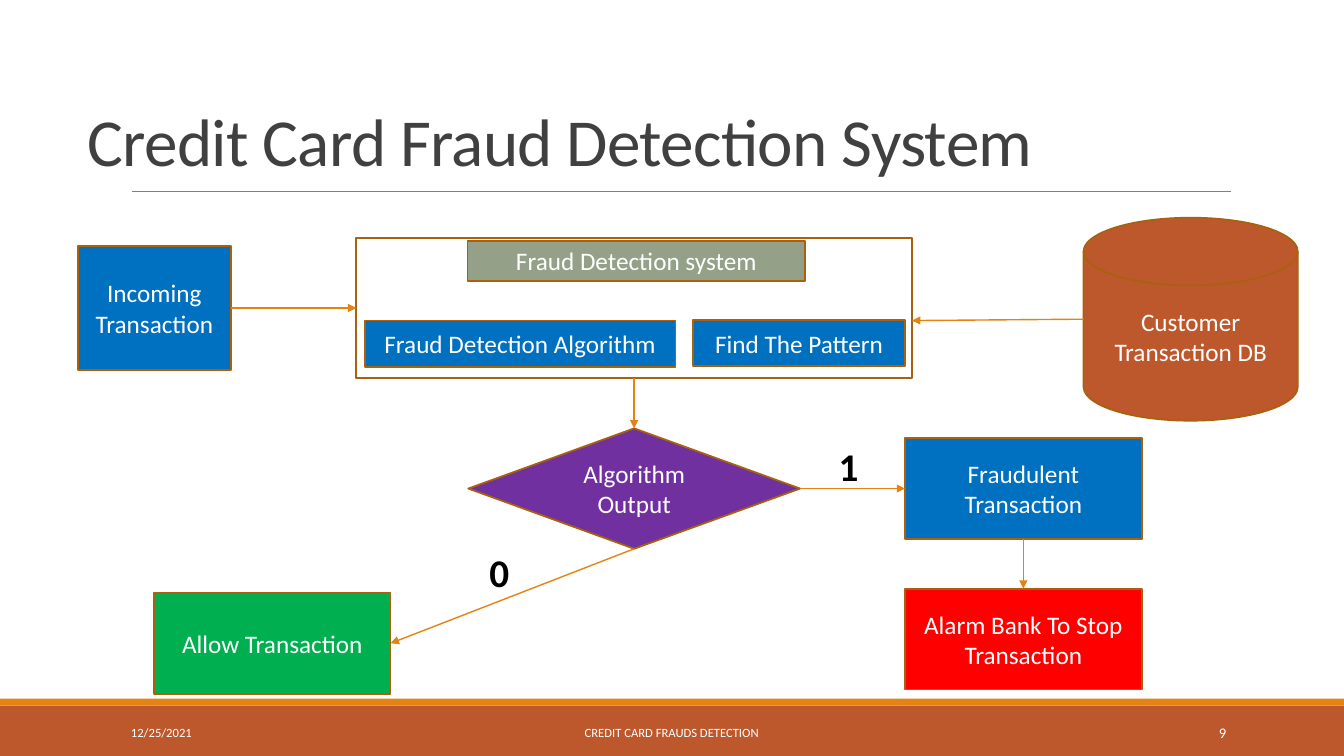
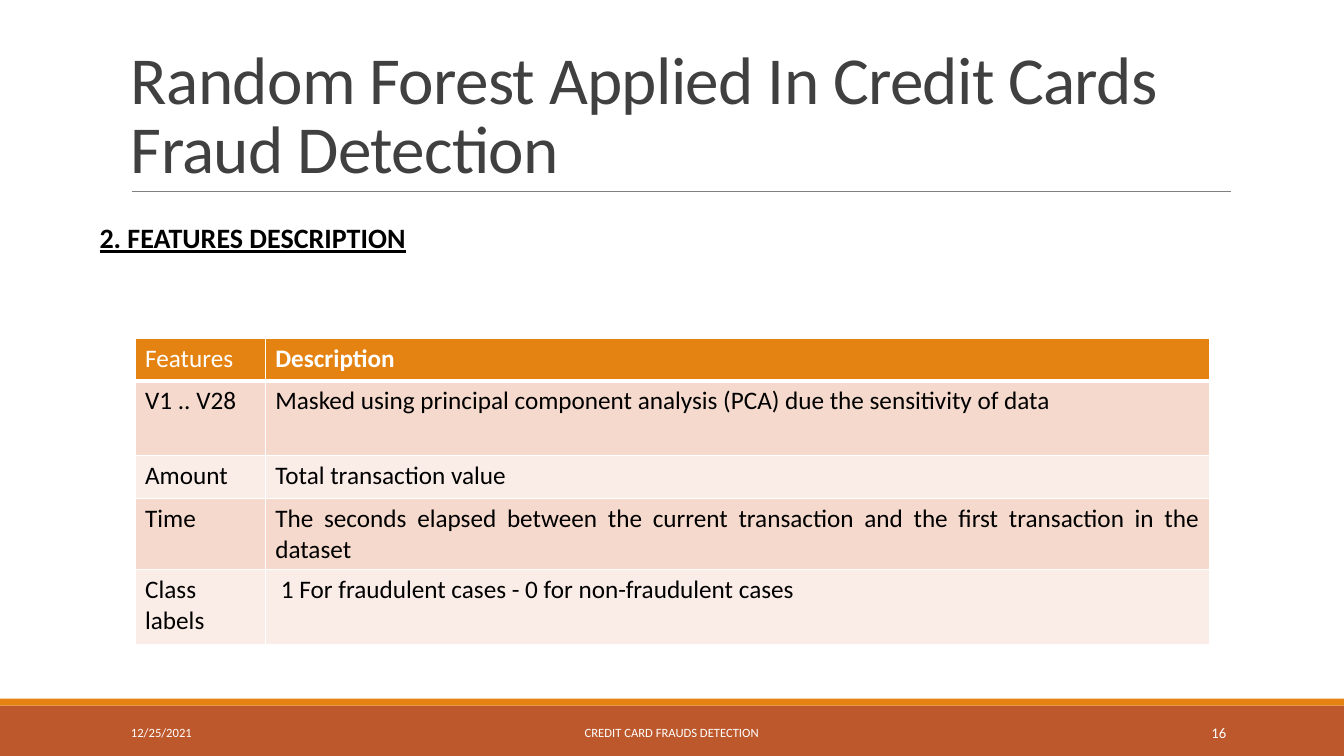
from dataclasses import dataclass

from lxml import etree
from pptx import Presentation
from pptx.dml.color import RGBColor
from pptx.enum.shapes import MSO_CONNECTOR, MSO_SHAPE
from pptx.enum.text import MSO_ANCHOR, PP_ALIGN
from pptx.oxml.ns import qn
from pptx.util import Pt

RECTANGLE = MSO_SHAPE.RECTANGLE
PROCESS = MSO_SHAPE.FLOWCHART_PROCESS
DECISION = MSO_SHAPE.FLOWCHART_DECISION
DISK = MSO_SHAPE.FLOWCHART_MAGNETIC_DISK
STRAIGHT = MSO_CONNECTOR.STRAIGHT
LEFT, CENTER, RIGHT, JUSTIFY = (
    PP_ALIGN.LEFT, PP_ALIGN.CENTER, PP_ALIGN.RIGHT, PP_ALIGN.JUSTIFY)
TOP, MIDDLE, BOTTOM = MSO_ANCHOR.TOP, MSO_ANCHOR.MIDDLE, MSO_ANCHOR.BOTTOM
SIDE_TOP, SIDE_LEFT, SIDE_BOTTOM, SIDE_RIGHT = range(4)

FONT = "Calibri"
WHITE, BLACK = "FFFFFF", "000000"
RUST, ORANGE, OUTLINE = "BD582C", "E48312", "A9610D"
BLUE, GREEN, RED, PURPLE, SAGE = "0070C0", "00B050", "FF0000", "7030A0", "94A088"
RULE_GRAY, TITLE_GRAY = "808080", "404040"
ROW_TINTS = ("F5D9CC", "FAEDE7")

TITLE = {"size": Pt(48)}
BODY = {"size": Pt(18)}
FOOTER = {"size": Pt(9)}
PAGE_NUMBER = {"size": Pt(10.5)}
BRANCH_LABEL = {"size": Pt(28), "bold": True}
HEADING = {"size": Pt(20), "bold": True, "underline": True}

Box = tuple[float, float, float, float]
Point = tuple[float, float]


@dataclass(frozen=True)
class Node:
    name: str
    box: Box
    fill: str
    text: str = ""
    kind: int = PROCESS


@dataclass(frozen=True)
class Link:
    """A joined arrow: each end is a node name and a side."""
    start: str
    start_side: int
    end: str
    end_side: int


@dataclass(frozen=True)
class Feature:
    name: str
    description: str
    height: float
    indent: float = 0


NODES = (
    Node("database", (774, 155.5, 153, 145), RUST, "Customer Transaction DB", DISK),
    Node("incoming", (55.5, 175.5, 109.5, 89), BLUE, "Incoming Transaction", RECTANGLE),
    Node("system", (254.5, 170, 397, 100), WHITE, kind=RECTANGLE),
    Node("system name", (334, 172, 241, 28.5), SAGE, "Fraud Detection system"),
    Node("algorithm", (260.5, 229, 222, 33), BLUE, "Fraud Detection Algorithm"),
    Node("pattern", (495, 228.5, 151.5, 33), BLUE, "Find The Pattern"),
    Node("fraudulent", (646.5, 313, 169, 72), BLUE, "Fraudulent Transaction"),
    Node("alarm", (646.5, 420.5, 169, 72), RED, "Alarm Bank To Stop Transaction"),
    Node("allow", (110, 423.5, 169, 72), GREEN, "Allow Transaction"),
    Node("output", (334.5, 306, 237, 86), PURPLE, "Algorithm Output", DECISION),
)
LINKS = (
    Link("incoming", SIDE_RIGHT, "system", SIDE_LEFT),
    Link("system", SIDE_BOTTOM, "output", SIDE_TOP),
    Link("output", SIDE_RIGHT, "fraudulent", SIDE_LEFT),
    Link("output", SIDE_BOTTOM, "allow", SIDE_RIGHT),
    Link("fraudulent", SIDE_BOTTOM, "alarm", SIDE_TOP),
)
FEATURES = (
    Feature("Features", "Description", 30),
    Feature("V1 .. V28", "Masked using principal component analysis (PCA) "
            "due the sensitivity of data", 53.5),
    Feature("Amount", "Total transaction value", 30.5),
    Feature("Time", "The seconds elapsed between the current transaction and "
            "the first transaction in the dataset", 51),
    Feature("Class labels", "1 For fraudulent cases - 0 for non-fraudulent cases",
            53.5, indent=4),
)


def rgb(color: str) -> RGBColor:
    return RGBColor.from_string(color)


def points(values) -> list:
    return [Pt(value) for value in values]


def write(frame, text: str, style: dict, color: str, align=LEFT):
    """Fill a text frame with one paragraph and return it."""
    paragraph = frame.paragraphs[0]
    paragraph.alignment = align
    run = paragraph.add_run()
    run.text = text
    for name, value in {"name": FONT, **style}.items():
        setattr(run.font, name, value)
    run.font.color.rgb = rgb(color)
    return paragraph


def add_text(slide, box: Box, text: str, style: dict, color: str,
             align=LEFT, anchor=TOP, wrap: bool = True):
    frame = slide.shapes.add_textbox(*points(box)).text_frame
    frame.word_wrap = wrap
    frame.vertical_anchor = anchor
    return write(frame, text, style, color, align)


def add_block(slide, kind: int, box: Box, fill: str, outline: str | None = None):
    shape = slide.shapes.add_shape(kind, *points(box))
    shape.shadow.inherit = False
    shape.fill.solid()
    shape.fill.fore_color.rgb = rgb(fill)
    if outline:
        shape.line.color.rgb = rgb(outline)
        shape.line.width = Pt(1.25)
    else:
        shape.line.fill.background()
    return shape


def add_line(slide, start: Point, end: Point, color: str, width: float,
             arrow: bool = False):
    connector = slide.shapes.add_connector(STRAIGHT, *points(start + end))
    connector.line.color.rgb = rgb(color)
    connector.line.width = Pt(width)
    if arrow:
        line = connector.line._get_or_add_ln()
        etree.SubElement(line, qn("a:tailEnd"), type="triangle")
    etree.SubElement(connector._element.spPr, qn("a:effectLst"))
    return connector


def add_base_slide(presentation, title: str, title_box: Box, number: int):
    """Add a slide with the shared bands, title and footer."""
    slide = presentation.slides.add_slide(presentation.slide_layouts[6])
    add_block(slide, RECTANGLE, (0, 504, 960, 36), RUST)
    add_block(slide, RECTANGLE, (0, 499, 960, 5), ORANGE)
    add_line(slide, (94.5, 136.5), (879, 136.5), RULE_GRAY, 0.5)
    paragraph = add_text(slide, title_box, title, TITLE, TITLE_GRAY, anchor=BOTTOM)
    paragraph.line_spacing = 0.85
    paragraph.runs[0]._r.get_or_add_rPr().set("spc", "-50")
    for left, width, text, style, align in (
        (86.5, 194.5, "12/25/2021", FOOTER, LEFT),
        (290, 379.5, "CREDIT CARD FRAUDS DETECTION", FOOTER, CENTER),
        (780, 103, str(number), PAGE_NUMBER, RIGHT),
    ):
        add_text(slide, (left, 508.5, width, 29), text, style, WHITE, align, MIDDLE)
    return slide


def add_system_slide(presentation) -> None:
    slide = add_base_slide(presentation, "Credit Card Fraud Detection System",
                           (55.5, 17.5, 841, 114.5), 9)
    shapes = {}
    for node in NODES:
        shape = add_block(slide, node.kind, node.box, node.fill, OUTLINE)
        shapes[node.name] = shape
        if node.text:
            shape.text_frame.word_wrap = True
            shape.text_frame.vertical_anchor = MIDDLE
            write(shape.text_frame, node.text, BODY, WHITE, CENTER)
    for link in LINKS:
        arrow = add_line(slide, (0, 0), (0, 0), ORANGE, 1, arrow=True)
        arrow.begin_connect(shapes[link.start], link.start_side)
        arrow.end_connect(shapes[link.end], link.end_side)
    add_line(slide, (774, 228), (651.5, 229), ORANGE, 1, arrow=True)
    for text, left, top in (("1", 592, 312.5), ("0", 342.5, 388)):
        add_text(slide, (left, top, 34, 41), text, BRANCH_LABEL, BLACK)


def format_cell(cell, fill: str, top: float, bottom: float) -> None:
    """Give a cell its fill and white borders, with the given widths above and below."""
    properties = cell._tc.get_or_add_tcPr()
    for side, width in {"L": 1, "R": 1, "T": top, "B": bottom}.items():
        border = etree.SubElement(properties, qn(f"a:ln{side}"), w=str(Pt(width)))
        solid = etree.SubElement(border, qn("a:solidFill"))
        etree.SubElement(solid, qn("a:srgbClr"), val=WHITE)
    cell.fill.solid()
    cell.fill.fore_color.rgb = rgb(fill)


def add_feature_table(slide) -> None:
    widths = (93, 674.5)
    height = sum(feature.height for feature in FEATURES)
    box = points((96.5, 242, sum(widths), height))
    table = slide.shapes.add_table(len(FEATURES), len(widths), *box).table
    table.horz_banding = False
    for column, width in zip(table.columns, widths):
        column.width = Pt(width)
    for index, feature in enumerate(FEATURES):
        header = index == 0
        table.rows[index].height = Pt(feature.height)
        name, description = table.rows[index].cells
        for cell in (name, description):
            format_cell(cell, ORANGE if header else ROW_TINTS[(index - 1) % 2],
                        top=3 if index == 1 else 1, bottom=3 if header else 1)
        color = WHITE if header else BLACK
        write(name.text_frame, feature.name, {**BODY, "bold": False}, color)
        write(description.text_frame, feature.description,
              {**BODY, "bold": header}, color, LEFT if header else JUSTIFY)
        description.margin_left = Pt(7.2 + feature.indent)


def add_features_slide(presentation) -> None:
    slide = add_base_slide(
        presentation, "Random Forest Applied In Credit Cards Fraud Detection",
        (86.5, 22.5, 792, 114.5), 16)
    add_feature_table(slide)
    add_text(slide, (64, 154, 242.5, 31.5), "2. FEATURES DESCRIPTION",
             HEADING, BLACK, wrap=False)


def main() -> None:
    presentation = Presentation()
    presentation.slide_width, presentation.slide_height = Pt(960), Pt(540)
    add_system_slide(presentation)
    add_features_slide(presentation)
    presentation.save("out.pptx")


if __name__ == "__main__":
    main()
